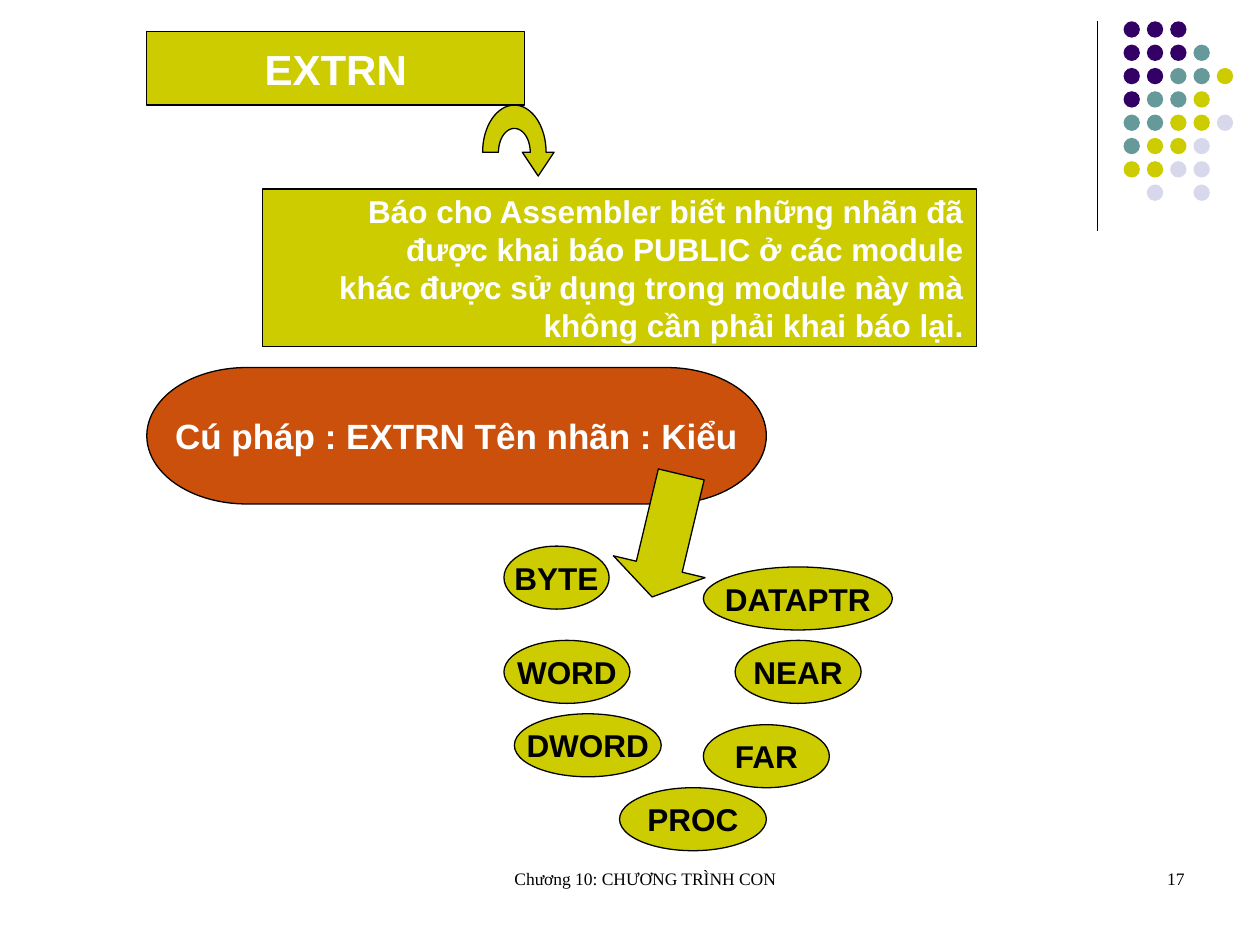
from math import cos, pi, sin

from lxml import etree
from pptx import Presentation
from pptx.dml.color import RGBColor
from pptx.enum.shapes import MSO_CONNECTOR, MSO_SHAPE
from pptx.enum.text import MSO_ANCHOR, PP_ALIGN
from pptx.oxml.ns import qn
from pptx.util import Cm, Pt

BLACK = RGBColor(0x00, 0x00, 0x00)
WHITE = RGBColor(0xFF, 0xFF, 0xFF)
OLIVE = RGBColor(0xCC, 0xCC, 0x00)
RUST = RGBColor(0xCB, 0x50, 0x0B)
PURPLE = RGBColor(0x33, 0x00, 0x66)
TEAL = RGBColor(0x66, 0x99, 0x99)
LAVENDER = RGBColor(0xD8, 0xD8, 0xEC)

CENTER, RIGHT = PP_ALIGN.CENTER, PP_ALIGN.RIGHT
OVAL, PROCESS = MSO_SHAPE.OVAL, MSO_SHAPE.FLOWCHART_PROCESS
TERMINATOR, DOWN_ARROW = MSO_SHAPE.FLOWCHART_TERMINATOR, MSO_SHAPE.DOWN_ARROW
STRAIGHT = MSO_CONNECTOR.STRAIGHT
MIDDLE, TOP = MSO_ANCHOR.MIDDLE, MSO_ANCHOR.TOP

DOT_COLOURS = {"p": PURPLE, "t": TEAL, "o": OLIVE, "l": LAVENDER}
DOT_ROWS = ["ppp", "pppt", "pptto", "ptto", "ttool", "tool", "ooll", " l l"]
DOT_PITCH = 0.47

DEFINITION = """Báo cho Assembler biết những nhãn đã
được khai báo PUBLIC ở các module
khác được sử dụng trong module này mà
không cần phải khai báo lại."""

# label, left, top, width
TYPES = [
    ("BYTE", 10.16, 11.01, 2.12),
    ("WORD", 10.16, 12.91, 2.54),
    ("DATAPTR", 14.18, 11.43, 3.81),
    ("PROC", 12.49, 15.88, 2.96),
    ("FAR", 14.18, 14.61, 2.54),
    ("NEAR", 14.82, 12.91, 2.54),
    ("DWORD", 10.37, 14.39, 2.96),
]


class SlideBuilder:
    """Holds the current slide and its style; all lengths are centimetres."""

    def __init__(self, slide, font="Arial", line_width=0.75):
        self.shapes = slide.shapes
        self.font = font
        self.line_width = Pt(line_width)

    def paint(self, shape, fill, outlined=True):
        shape.fill.solid()
        shape.fill.fore_color.rgb = fill
        if outlined:
            shape.line.color.rgb = BLACK
            shape.line.width = self.line_width
        else:
            shape.line.fill.background()

    def label(self, box, text, size, colour, align=CENTER, bold=True,
              font=None, wrap=False, anchor=MIDDLE, left_inset=0.25):
        frame = box.text_frame
        frame.word_wrap = wrap
        frame.vertical_anchor = anchor
        frame.margin_left, frame.margin_right = Cm(left_inset), Cm(0.25)
        frame.margin_top = frame.margin_bottom = Cm(0.13)
        para = frame.paragraphs[0]
        para.text = text
        para.alignment = align
        para.font.name = font or self.font
        para.font.size = Pt(size)
        para.font.bold = bold
        para.font.color.rgb = colour

    def title(self, text, left, top, width, height):
        """Give the title placeholder a terminator outline."""
        box = self.shapes.title
        box.left, box.top, box.width, box.height = map(
            Cm, (left, top, width, height))
        outline = etree.SubElement(box.element.spPr, qn("a:prstGeom"),
                                   prst="flowChartTerminator")
        etree.SubElement(outline, qn("a:avLst"))
        self.paint(box, OLIVE)
        self.label(box, text, 24, WHITE)

    def shape(self, kind, left, top, width, height, fill, outlined=True):
        shape = self.shapes.add_shape(
            kind, Cm(left), Cm(top), Cm(width), Cm(height))
        shape.shadow.inherit = False
        self.paint(shape, fill, outlined)
        return shape

    def vertical_rule(self, x, top, bottom):
        rule = self.shapes.add_connector(
            STRAIGHT, Cm(x), Cm(top), Cm(x), Cm(bottom))
        rule.line.color.rgb = BLACK
        rule.line.width = self.line_width
        etree.SubElement(rule._element.spPr, qn("a:effectLst"))

    def dots(self, left, top):
        for row, letters in enumerate(DOT_ROWS):
            for column, letter in enumerate(letters):
                if letter in DOT_COLOURS:
                    self.shape(OVAL, left + column * DOT_PITCH,
                               top + row * DOT_PITCH, 0.33, 0.33,
                               DOT_COLOURS[letter], outlined=False)

    def arch_arrow(self, x, y, fill, steps=32):
        """Draw a half-ring centred on (x, y) whose right end points down."""
        angles = [pi * step / steps for step in range(steps + 1)]
        inner = [(x + 0.32 * cos(a), y - 0.48 * sin(a)) for a in angles]
        outer = [(x - 0.64 * cos(a), y - 0.95 * sin(a)) for a in angles]
        head = [(x + 0.8, y), (x + 0.48, y + 0.48), (x + 0.16, y)]
        start, *others = [(Cm(px), Cm(py)) for px, py in inner + outer + head]
        outline = self.shapes.build_freeform(*start)
        outline.add_line_segments(others, close=True)
        arrow = outline.convert_to_shape()
        arrow.shadow.inherit = False
        self.paint(arrow, fill)

    def footer(self, text, left, width, align):
        box = self.shapes.add_textbox(
            Cm(left), Cm(17.36), Cm(width), Cm(1.27))
        self.label(box, text, 10, BLACK, align, bold=False,
                   font="Times New Roman", wrap=True, anchor=TOP,
                   left_inset=0.86)


def main():
    deck = Presentation()
    deck.slide_width, deck.slide_height = Cm(25.4), Cm(19.05)
    page = SlideBuilder(deck.slides.add_slide(deck.slide_layouts[5]))

    page.vertical_rule(22.12, 0.43, 4.65)
    page.dots(22.65, 0.43)

    page.title("EXTRN", 2.96, 0.64, 7.62, 1.48)
    page.arch_arrow(10.37, 3.07, OLIVE)
    definition = page.shape(PROCESS, 5.29, 3.81, 14.39, 3.18, OLIVE)
    page.label(definition, DEFINITION, 18, WHITE, RIGHT)
    syntax = page.shape(TERMINATOR, 2.96, 7.41, 12.49, 2.75, RUST)
    page.label(syntax, "Cú pháp : EXTRN Tên nhãn : Kiểu", 20, WHITE)

    for name, left, top, width in TYPES:
        oval = page.shape(OVAL, left, top, width, 1.27, OLIVE)
        page.label(oval, name, 18, BLACK)
    arrow = page.shape(DOWN_ARROW, 12.49, 9.53, 1.9, 2.54, OLIVE)
    arrow.adjustments[0], arrow.adjustments[1] = 0.5, 0.33
    arrow.rotation = 13.4

    page.footer("Chương 10: CHƯƠNG TRÌNH CON", 8.68, 8.04, CENTER)
    page.footer("17", 18.2, 5.93, RIGHT)
    deck.save("out.pptx")


if __name__ == "__main__":
    main()
